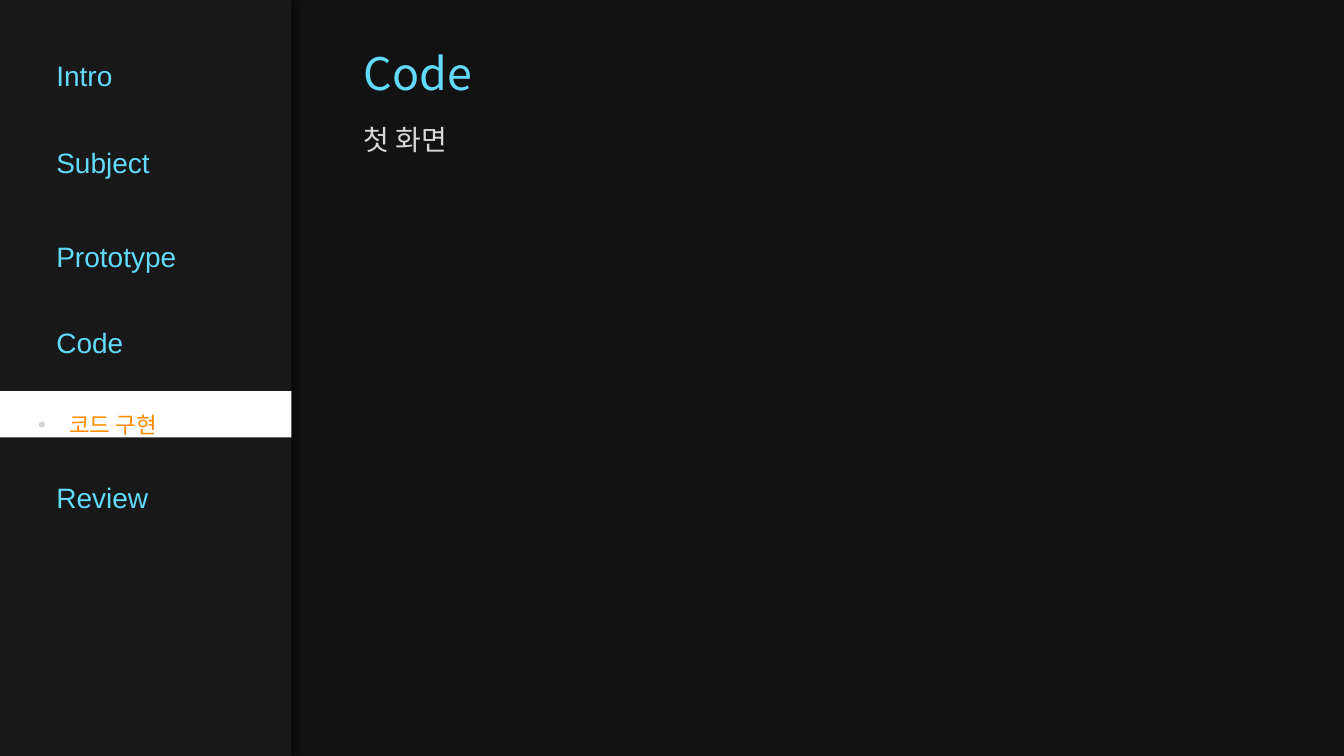
from lxml import etree
from pptx import Presentation
from pptx.dml.color import RGBColor
from pptx.enum.shapes import MSO_SHAPE
from pptx.enum.text import MSO_ANCHOR
from pptx.oxml.ns import qn
from pptx.util import Inches, Pt

RECT = MSO_SHAPE.RECTANGLE
TOP, MIDDLE = MSO_ANCHOR.TOP, MSO_ANCHOR.MIDDLE
LATIN, HANGUL = "Arial", "Noto Sans CJK KR"
CYAN, GREY, ORANGE = "61DAFB", "D9D9D9", "FF8C00"
SIDE = 2.89  # sidebar width
MENU = {"Intro": 0.34, "Subject": 1.2, "Prototype": 2.13,
        "Code": 2.99, "Review": 4.52}


def color(code):
    return RGBColor.from_string(code)


def add_xml(parent, tag, **attrs):
    return etree.SubElement(parent, qn(tag), attrs)


def add_rect(slide, x, y, w, h, fill):
    rect = slide.shapes.add_shape(
        RECT, Inches(x), Inches(y), Inches(w), Inches(h))
    rect.fill.solid()
    rect.fill.fore_color.rgb = color(fill)
    rect.line.fill.background()
    rect.shadow.inherit = False
    return rect


def add_shadow(shape, blur, dist, alpha):
    effects = shape.element.spPr.find(qn("a:effectLst"))
    outer = add_xml(effects, "a:outerShdw", blurRad=str(Pt(blur)),
                    dist=str(Pt(dist)), dir="0", algn="l", rotWithShape="0")
    tone = add_xml(outer, "a:srgbClr", val="000000")
    add_xml(tone, "a:alpha", val=str(alpha * 1000))


def add_bullet(para, tone, indent):
    props = para._p.get_or_add_pPr()
    props.set("marL", str(Inches(indent)))
    props.set("indent", str(-Inches(indent)))
    add_xml(add_xml(props, "a:buClr"), "a:srgbClr", val=tone)
    add_xml(props, "a:buFont", typeface=LATIN)
    add_xml(props, "a:buChar", char="•")


def add_text(slide, text, x, y, w, h, size=20, tone=CYAN, font=LATIN,
             anchor=TOP, spacing=0.9, bullet=None):
    box = slide.shapes.add_textbox(Inches(x), Inches(y), Inches(w), Inches(h))
    frame = box.text_frame
    frame.word_wrap = True
    frame.vertical_anchor = anchor
    para = frame.paragraphs[0]
    if bullet:
        add_bullet(para, bullet, 0.31)
    para.line_spacing = spacing
    run = para.add_run()
    run.text = text
    run.font.size = Pt(size)
    run.font.color.rgb = color(tone)
    run.font.name = font
    # East Asian typeface for the Korean letters
    add_xml(run._r.get_or_add_rPr(), "a:ea", typeface=HANGUL)


def main():
    deck = Presentation()
    deck.slide_width, deck.slide_height = Inches(13.33), Inches(7.5)
    slide = deck.slides.add_slide(deck.slide_layouts[6])
    slide.background.fill.solid()
    slide.background.fill.fore_color.rgb = color("121212")

    # Sidebar with its menu
    panel = add_rect(slide, 0, 0, SIDE, 7.5, "181818")
    add_shadow(panel, blur=4, dist=3, alpha=40)
    for label, top in MENU.items():
        add_text(slide, label, 0.46, top, 2.15, 0.86, anchor=MIDDLE)

    # Heading
    add_text(slide, "Code", 3.51, 0.46, 4.09, 0.61, size=32, font=HANGUL)
    add_text(slide, "첫 화면", 3.51, 1.2, 5.51, 0.43, tone=GREY, font=HANGUL)

    # Current menu entry
    add_rect(slide, 0, 3.88, SIDE, 0.46, "FFFFFF")
    add_text(slide, "코드 구현", 0.28, 3.07, 2.15, 2.02, size=16, tone=ORANGE,
             anchor=MIDDLE, spacing=2.0, bullet="D4D4D4")

    deck.save("out.pptx")


if __name__ == "__main__":
    main()
